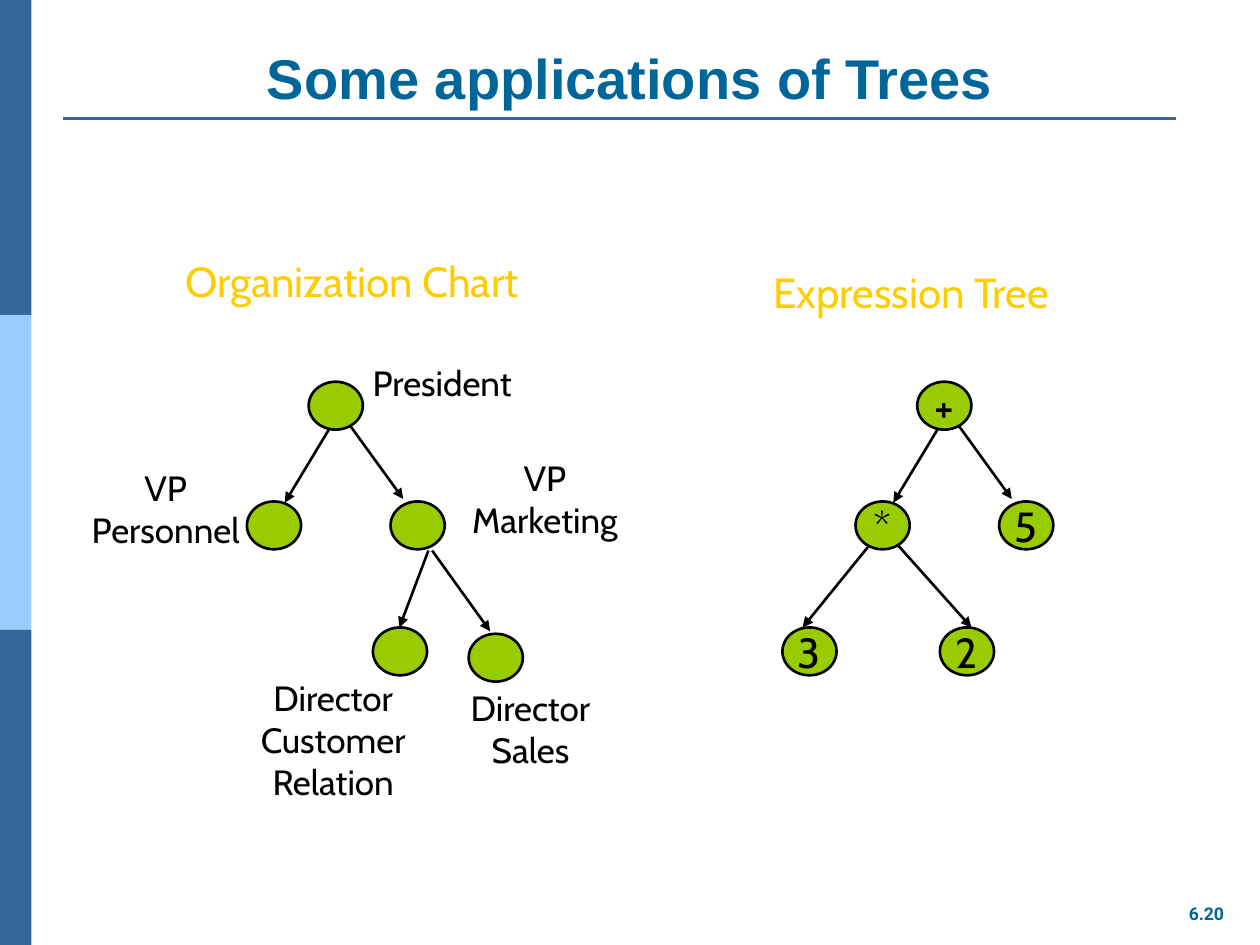
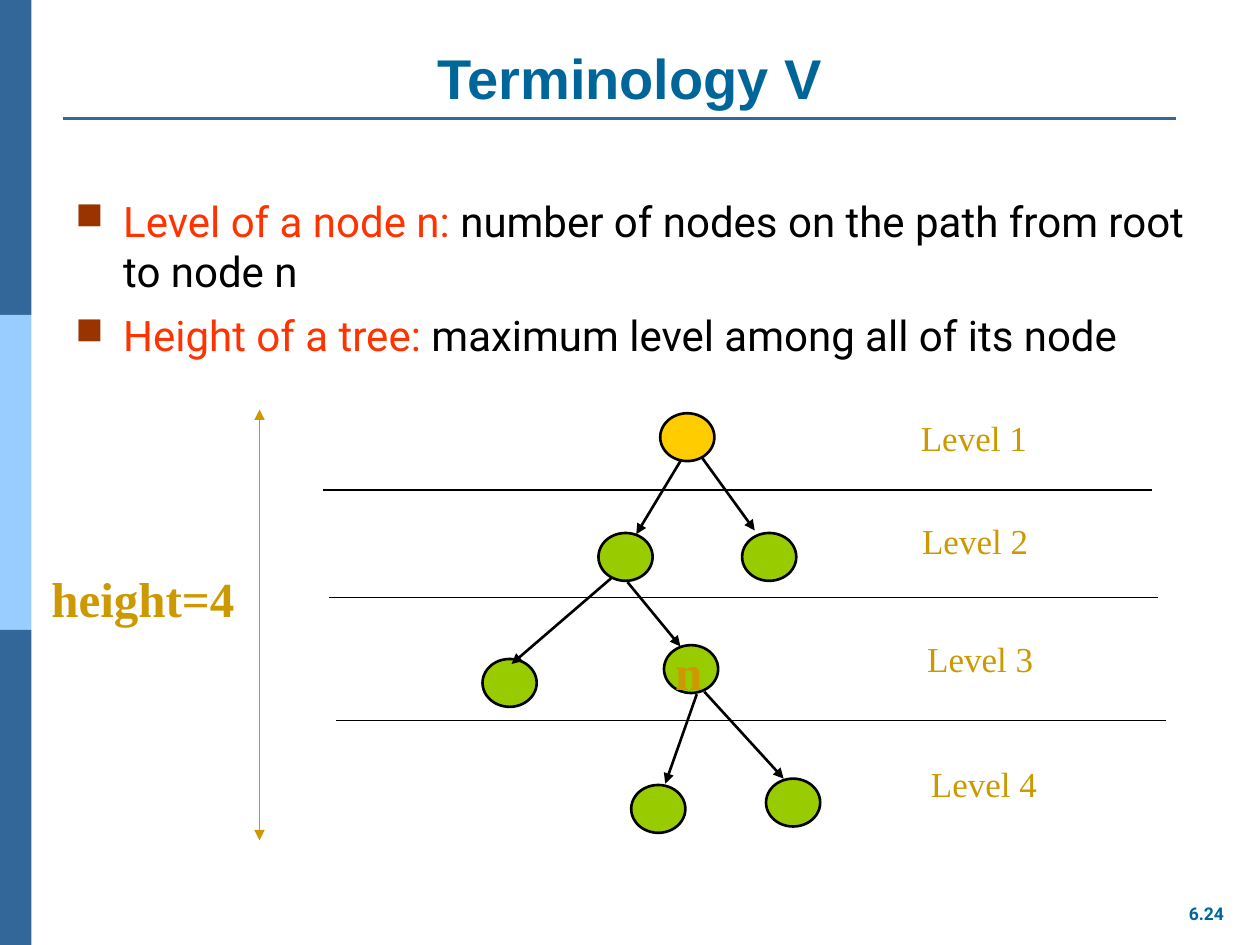
"""Builds two slides on trees: applications and the terms level and height."""
import pptx
import pptx.dml.color
import pptx.enum.shapes
import pptx.enum.text
import pptx.oxml
import pptx.oxml.ns
import pptx.util

PX = 9144
COLORS = {
    "band": "336699", "band_light": "99CCFF", "title": "006699",
    "node": "99CC00", "root": "FFCC00", "heading": "FFCC00",
    "ink": "000000", "term": "FF3300", "bullet": "993300", "level": "CC9900",
}
NODE_WIDTH, NODE_HEIGHT = 43, 38
ALIGN = pptx.enum.text.PP_ALIGN
ANCHOR = pptx.enum.text.MSO_ANCHOR
SHAPE = pptx.enum.shapes.MSO_SHAPE


def px(*lengths):
    """Turn px lengths into EMU."""
    return [pptx.util.Emu(length * PX) for length in lengths]


def rgb(name):
    """Look up a colour of the palette."""
    return pptx.dml.color.RGBColor.from_string(COLORS[name])


def add_xml(parent, tag, **attributes):
    """Append a drawing element to a parent."""
    element = pptx.oxml.parse_xml(f"<a:{tag} {pptx.oxml.ns.nsdecls('a')}/>")
    for key, value in attributes.items():
        element.set(key, value)
    parent.append(element)
    return element


def add_bullet(paragraph):
    """Give a paragraph a square bullet with a hanging indent."""
    properties = paragraph._p.get_or_add_pPr()
    indent = 38 * PX
    properties.set("marL", str(indent))
    properties.set("indent", str(-indent))
    color = add_xml(properties, "buClr")
    add_xml(color, "srgbClr", val=COLORS["bullet"])
    add_xml(properties, "buSzPct", val="90000")
    add_xml(properties, "buChar", char="■")


def write(frame, paragraphs, size=20, font="Cabin", color="ink", bold=False,
          align=ALIGN.LEFT, anchor=ANCHOR.TOP, wrap=False, bullets=False, gap=0):
    """Fill a text frame; a paragraph is a string or a list of (text, colour)."""
    frame.word_wrap = wrap
    frame.vertical_anchor = anchor
    for index, content in enumerate(paragraphs):
        paragraph = frame.add_paragraph() if index else frame.paragraphs[0]
        if bullets:
            add_bullet(paragraph)
        paragraph.alignment = align
        if index and gap:
            paragraph.space_before = pptx.util.Pt(gap)
        pieces = [(content, color)] if isinstance(content, str) else content
        for words, ink in pieces:
            run = paragraph.add_run()
            run.text = words
            run.font.size = pptx.util.Pt(size)
            run.font.name = font
            run.font.bold = bold
            run.font.color.rgb = rgb(ink)


def add_label(slide, box, *paragraphs, **text_format):
    """Place text in a box of left, top, width and height."""
    label = slide.shapes.add_textbox(*px(*box))
    write(label.text_frame, paragraphs, **text_format)


def add_line(slide, start, end, color="ink", width=1.5, ends=()):
    """Draw a straight line with arrowheads at the named ends."""
    line = slide.shapes.add_connector(
        pptx.enum.shapes.MSO_CONNECTOR.STRAIGHT, *px(*start, *end))
    line.line.color.rgb = rgb(color)
    line.line.width = pptx.util.Pt(width)
    for end_tag in ends:
        add_xml(line.line._get_or_add_ln(), end_tag, type="triangle")
    add_xml(line._element.spPr, "effectLst")


def add_edge(slide, start, end):
    """Draw an arrow from a parent to a child."""
    add_line(slide, start, end, ends=["tailEnd"])


def add_solid(slide, kind, box, fill):
    """Draw a flat preset shape without outline."""
    solid = slide.shapes.add_shape(kind, *px(*box))
    solid.shadow.inherit = False
    solid.fill.solid()
    solid.fill.fore_color.rgb = rgb(fill)
    solid.line.fill.background()
    return solid


def add_node(slide, left, top, value="", fill="node"):
    """Draw a tree node, with its value if it has one."""
    node = add_solid(slide, SHAPE.OVAL, (left, top, NODE_WIDTH, NODE_HEIGHT), fill)
    node.line.color.rgb = rgb("ink")
    node.line.width = pptx.util.Pt(1.5)
    if value:
        write(node.text_frame, [value], size=24, align=ALIGN.CENTER, anchor=ANCHOR.MIDDLE)


def add_crown(slide, left, top, values=("", "", ""), root_fill="node"):
    """Draw a root with its two children and edges."""
    root, first, second = values
    add_node(slide, left, top, root, root_fill)
    add_node(slide, left - 49, top + 95, first)
    add_node(slide, left + 65, top + 95, second)
    add_edge(slide, (left + 16, top + 38), (left - 19, top + 96))
    add_edge(slide, (left + 33, top + 35), (left + 75, top + 93))


def add_base(deck, title, number):
    """Add a slide with side bands, ruled title and number."""
    slide = deck.slides.add_slide(deck.slide_layouts[6])
    for index, fill in enumerate(["band", "band_light", "band"]):
        add_solid(slide, SHAPE.RECTANGLE, (0, index * 250, 25, 250), fill)
    add_line(slide, (50, 94), (933, 94), "band")
    add_label(slide, (933, 712, 49, 27), number, size=10, font="Roboto",
              color="title", bold=True, align=ALIGN.CENTER)
    add_label(slide, (50, 30, 900, 63), title, size=32, font="Arial", color="title",
              bold=True, align=ALIGN.CENTER, anchor=ANCHOR.BOTTOM, wrap=True)
    return slide


def build_applications(deck):
    """Show an organization chart beside an expression tree."""
    slide = add_base(deck, "Some applications of Trees", "6.20")
    add_label(slide, (137, 198, 295, 50), "Organization Chart", size=24, color="heading")
    add_crown(slide, 245, 303)
    add_node(slide, 296, 498)
    add_node(slide, 372, 503)
    add_edge(slide, (340, 437), (317, 498))
    add_edge(slide, (343, 437), (389, 501))
    add_label(slide, (286, 282, 134, 43), "President")
    roles = [
        ((62, 365, 139, 77), ["VP", "Personnel"]),
        ((362, 357, 141, 77), ["VP", "Marketing"]),
        ((196, 532, 137, 110), ["Director", "Customer", "Relation"]),
        ((362, 540, 118, 77), ["Director", "Sales"]),
    ]
    for box, role in roles:
        add_label(slide, box, *role, align=ALIGN.CENTER)

    add_label(slide, (604, 207, 254, 50), "Expression Tree", size=24, color="heading")
    add_crown(slide, 728, 303, "+*5")
    add_node(slide, 621, 498, "3")
    add_node(slide, 746, 498, "2")
    add_edge(slide, (689, 434), (637, 498))
    add_edge(slide, (712, 432), (771, 498))


def build_terminology(deck):
    """Define level and height on a tree of four levels."""
    slide = add_base(deck, "Terminology V", "6.24")
    add_label(
        slide, (50, 150, 900, 520),
        [("Level of a node n:", "term"),
         (" number of nodes on the path from root to node n", "ink")],
        [("Height of a tree: ", "term"),
         ("maximum level among all of its node", "ink")],
        size=24, font="Roboto", wrap=True, bullets=True, gap=8)

    add_crown(slide, 524, 328, root_fill="root")
    for left, top in [(383, 523), (527, 512), (501, 623), (608, 618)]:
        add_node(slide, left, top)
    edges = [
        ((485, 459), (406, 527)), ((498, 462), (540, 513)),
        ((553, 551), (528, 622)), ((559, 549), (622, 618)),
    ]
    for start, end in edges:
        add_edge(slide, start, end)

    level_style = {"font": "Times New Roman", "color": "level", "wrap": True}
    for left, top in [(256, 389), (261, 474), (267, 572)]:
        add_line(slide, (left, top), (left + 658, top), width=0.75)
    label_places = [(721, 326), (722, 407), (726, 501), (729, 600)]
    for level, (left, top) in enumerate(label_places, 1):
        add_label(slide, (left, top, 111, 43), f"Level {level}", **level_style)
    add_label(slide, (526, 504, 39, 57), "n", size=28, bold=True, **level_style)
    add_label(slide, (31, 446, 178, 57), "height=4", size=28, bold=True, **level_style)
    add_line(slide, (206, 325), (206, 667), "level", 0.75, ["headEnd", "tailEnd"])


def main():
    """Build and save the deck."""
    deck = pptx.Presentation()
    deck.slide_width, deck.slide_height = px(1000, 750)
    build_applications(deck)
    build_terminology(deck)
    deck.save("out.pptx")


if __name__ == "__main__":
    main()
